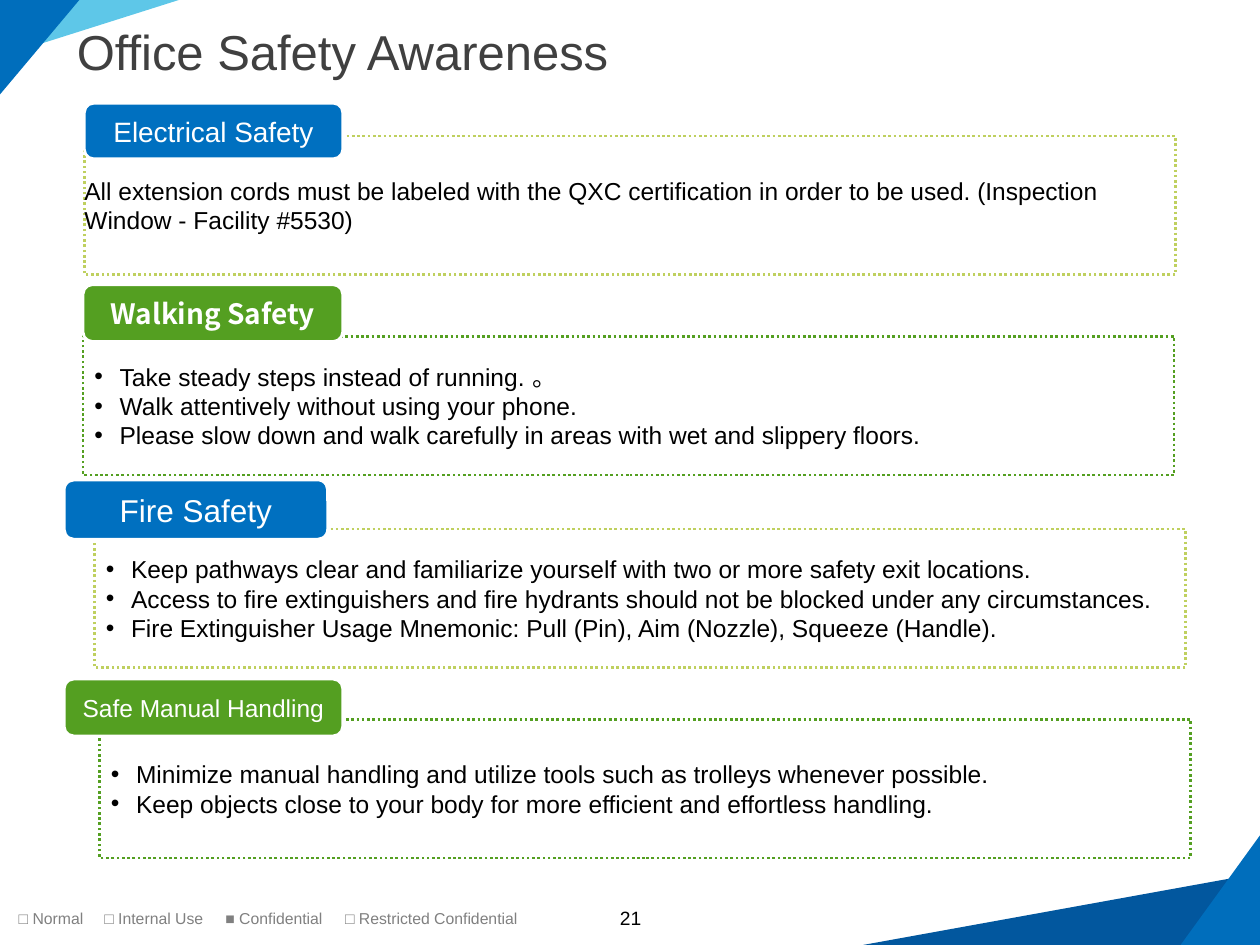
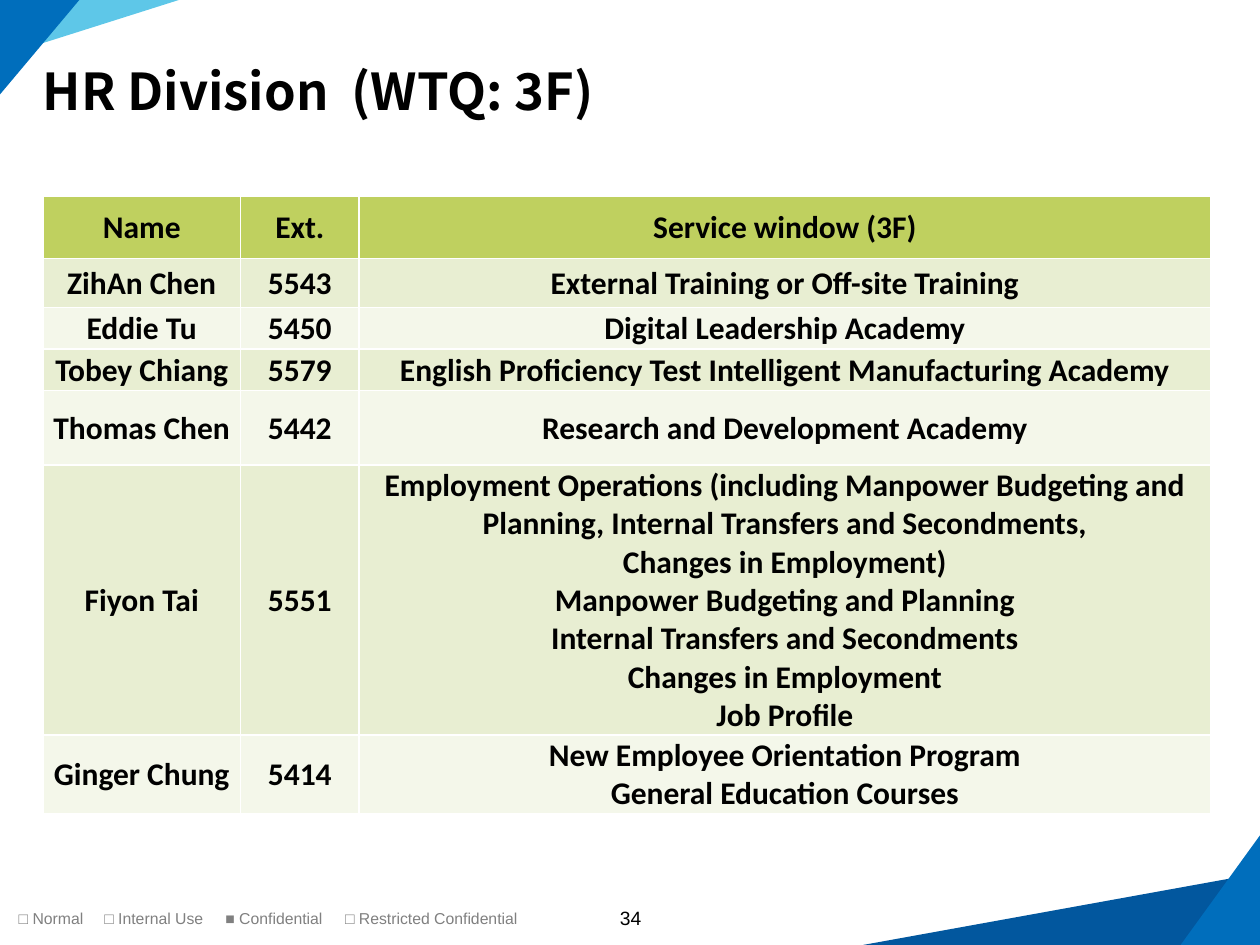
"""Build the office safety and HR contact slides."""
from dataclasses import dataclass
from typing import Any, NamedTuple

from lxml import etree
from pptx import Presentation
from pptx import util as u
from pptx.dml.color import RGBColor
from pptx.enum import dml, shapes, text
from pptx.oxml.ns import qn

COLS, ROWS = 100, 75
WIDE, HIGH = u.Inches(10), u.Inches(7.5)
CELL = WIDE / COLS

HEX = {
    "white": "FFFFFF", "black": "000000", "slate": "404040", "grey": "808080",
    "sky": "5EC7E8", "blue": "006EBC", "navy": "02579E", "azure": "0070C0",
    "green": "549F21", "lime": "BFD05F", "pale": "E8EED2", "mist": "F4F7EA",
}
SANS, HAN, TABLE = "Arial", "Noto Sans CJK SC", "Calibri"
SHAPE, ALIGN, ANCHOR = shapes.MSO_SHAPE, text.PP_ALIGN, text.MSO_ANCHOR


class Box(NamedTuple):
    """A place on the grid, in columns and rows."""
    left: float
    top: float
    width: float
    height: float

    def size(self) -> list[int]:
        """Turn grid cells into slide lengths."""
        return [round(side * CELL) for side in self]


@dataclass
class Corner:
    """A right triangle set in a corner of the slide."""
    width: float
    height: float
    fill: str
    low: bool = False

    def box(self) -> Box:
        """Find the corner's place."""
        left, top = (COLS - self.width, ROWS - self.height) if self.low else (0, 0)
        return Box(left, top, self.width, self.height)


@dataclass
class Topic:
    """A safety topic: a name tag above a dotted panel."""
    name: str
    lines: list[str]
    tag: Box
    left: float
    top: float
    fill: str
    edge: str
    size: int = 16
    font: str = SANS
    bold: bool = False
    bullet: bool = True


CORNERS = [
    Corner(14.2, 4.5, "sky"),
    Corner(6.3, 7.5, "blue"),
    Corner(31.5, 5.7, "navy", low=True),
    Corner(6.3, 8.7, "blue", low=True),
]
LEVELS = "□ Normal\t□ Internal Use\t■ Confidential\t□ Restricted Confidential"
STOPS = (0.68, 1.64, 2.59)

TOPICS = [
    Topic("Electrical Safety",
          ["All extension cords must be labeled with the QXC certification in order "
           "to be used. (Inspection Window - Facility #5530)"],
          Box(6.7, 8.2, 20.5, 4.4), 6.7, 10.8, "azure", "lime", bullet=False),
    Topic("Walking Safety",
          ["Take steady steps instead of running. 。",
           "Walk attentively without using your phone.",
           "Please slow down and walk carefully in areas with wet and slippery floors."],
          Box(6.6, 22.6, 20.6, 4.5), 6.6, 26.7, "green", "green", font=HAN, bold=True),
    Topic("Fire Safety",
          ["Keep pathways clear and familiarize yourself with two or more safety exit "
           "locations.",
           "Access to fire extinguishers and fire hydrants should not be blocked under "
           "any circumstances.",
           "Fire Extinguisher Usage Mnemonic: Pull (Pin), Aim (Nozzle), Squeeze "
           "(Handle)."],
          Box(5.1, 38.1, 20.9, 4.7), 7.5, 42, "azure", "lime", size=18),
    Topic("Safe Manual Handling",
          ["Minimize manual handling and utilize tools such as trolleys whenever "
           "possible.",
           "Keep objects close to your body for more efficient and effortless handling."],
          Box(5.1, 53.9, 22.1, 4.5), 7.9, 57.1, "green", "green", size=14),
]

SPANS = (15.7, 9.4, 67.6)
STAFF = [
    (4.9, "Name", "Ext.", ["Service window (3F)"]),
    (3.9, "ZihAn Chen", "5543", ["External Training or Off-site Training"]),
    (3.3, "Eddie Tu", "5450", ["Digital Leadership Academy"]),
    (3.3, "Tobey Chiang", "5579",
     ["English Proficiency Test Intelligent Manufacturing Academy"]),
    (5.9, "Thomas Chen", "5442", ["Research and Development Academy"]),
    (21.1, "Fiyon Tai", "5551",
     ["Employment Operations (including Manpower Budgeting and Planning, Internal "
      "Transfers and Secondments,",
      "Changes in Employment)", "Manpower Budgeting and Planning",
      "Internal Transfers and Secondments", "Changes in Employment", "Job Profile"]),
    (6, "Ginger Chung", "5414",
     ["New Employee Orientation Program", "General Education Courses"]),
]


def tint(name: str) -> RGBColor:
    """Look up a colour by name."""
    return RGBColor.from_string(HEX[name])


def write(frame: Any, lines: list[str], *, size: float = 14, font: str = SANS,
          ink: str = "black", bold: bool = False, align: Any = ALIGN.LEFT,
          bullet: bool = False, stops: tuple = (), pitch: float = 1.0) -> None:
    """Fill a text frame with formatted paragraphs."""
    for n, line in enumerate(lines):
        para = frame.add_paragraph() if n else frame.paragraphs[0]
        props = para._p.get_or_add_pPr()
        if bullet:
            props.set("marL", str(u.Inches(0.29)))
            props.set("indent", str(u.Inches(-0.2)))
            etree.SubElement(props, qn("a:buFont")).set("typeface", SANS)
            etree.SubElement(props, qn("a:buChar")).set("char", "•")
        if stops:
            tabs = etree.SubElement(props, qn("a:tabLst"))
            for stop in stops:
                tab = etree.SubElement(tabs, qn("a:tab"))
                tab.set("pos", str(u.Inches(stop)))
                tab.set("algn", "l")
        para.alignment, para.line_spacing = align, pitch
        run = para.add_run()
        run.text = line
        face = run.font
        face.name, face.size, face.bold = font, u.Pt(size), bold
        face.color.rgb = tint(ink)


def inset(frame: Any, side: float, edge: float, anchor: Any = ANCHOR.MIDDLE) -> None:
    """Set a frame's margins in inches, its wrap and its anchor."""
    frame.word_wrap, frame.auto_size = True, text.MSO_AUTO_SIZE.NONE
    frame.margin_left = frame.margin_right = u.Inches(side)
    frame.margin_top = frame.margin_bottom = u.Inches(edge)
    frame.vertical_anchor = anchor


def block(host: Any, kind: Any, box: Box, fill: str, edge: str = "") -> Any:
    """Draw a flat preset shape."""
    shape = host.add_shape(kind, *box.size())
    shape.shadow.inherit = False
    shape.fill.solid()
    shape.fill.fore_color.rgb = tint(fill)
    if edge:
        shape.line.color.rgb, shape.line.width = tint(edge), u.Pt(1.5)
    else:
        shape.line.fill.background()
    return shape


def label(host: Any, box: Box, line: str, edge: float, **form: Any) -> None:
    """Add a one-line text box."""
    frame = host.add_textbox(*box.size()).text_frame
    inset(frame, 0.1, edge, ANCHOR.TOP)
    write(frame, [line], **form)


def start(deck: Any, title: str, box: Box, page: int, side: float, **form: Any) -> Any:
    """Add a slide with its corners, footer and title."""
    slide = deck.slides.add_slide(deck.slide_layouts[5])
    host = slide.shapes
    for corner in CORNERS:
        shape = block(host, SHAPE.RIGHT_TRIANGLE, corner.box(), corner.fill)
        shape.element.spPr.find(qn("a:xfrm")).set("flipV", "1")
        shape.rotation = 180 if corner.low else 0
    label(host, Box(45.6, 71.9, 8.9, 2.4), str(page), 0, size=11, align=ALIGN.CENTER)
    label(host, Box(0.5, 71.6, 45.1, 2.5), LEVELS, 0.05, size=9, ink="grey", stops=STOPS)
    head = host.title
    head.left, head.top, head.width, head.height = box.size()
    inset(head.text_frame, side, 0.05)
    write(head.text_frame, [title], pitch=0.9, **form)
    head.element.getparent().append(head.element)
    return slide


def draw(slide: Any, topic: Topic) -> None:
    """Draw a topic as a group of panel and tag."""
    host = slide.shapes.add_group_shape().shapes
    panel = block(host, SHAPE.RECTANGLE, Box(topic.left, topic.top, 86.6, 11),
                  "white", topic.edge)
    panel.line.dash_style = dml.MSO_LINE.ROUND_DOT
    inset(panel.text_frame, 0, 0.05)
    write(panel.text_frame, topic.lines, bullet=topic.bullet)
    tag = block(host, SHAPE.ROUNDED_RECTANGLE, topic.tag, topic.fill, "white")
    inset(tag.text_frame, 0.1, 0)
    write(tag.text_frame, [topic.name], size=topic.size, font=topic.font,
          bold=topic.bold, ink="white", align=ALIGN.CENTER)


def roster(slide: Any) -> None:
    """Add the table of staff and their services."""
    box = Box(3.4, 15.6, sum(SPANS), sum(row[0] for row in STAFF))
    table = slide.shapes.add_table(len(STAFF), len(SPANS), *box.size()).table
    for col, span in zip(table.columns, SPANS):
        col.width = round(span * CELL)
    for n, (high, name, ext, duties) in enumerate(STAFF):
        table.rows[n].height = round(high * CELL)
        fill = ("pale" if n % 2 else "mist") if n else "lime"
        for cell, lines in zip(table.rows[n].cells, ([name], [ext], duties)):
            cell.fill.solid()
            cell.fill.fore_color.rgb = tint(fill)
            cell.vertical_anchor = ANCHOR.MIDDLE
            cell.margin_left = cell.margin_right = cell.margin_top = u.Inches(0.01)
            cell.margin_bottom = 0
            write(cell.text_frame, lines, size=18, font=TABLE, bold=True,
                  align=ALIGN.CENTER)


def main() -> None:
    """Build and save the deck."""
    deck = Presentation()
    deck.slide_width, deck.slide_height = WIDE, HIGH
    safety = start(deck, "Office Safety Awareness", Box(5.1, 2, 89.8, 4.7), 21, 0.1,
                   size=28, ink="slate")
    for topic in TOPICS:
        draw(safety, topic)
    staff = start(deck, "HR Division  (WTQ: 3F)", Box(3.4, 5.1, 94.1, 4.7), 34, 0,
                  size=29, font=HAN, bold=True)
    roster(staff)
    deck.save("out.pptx")


if __name__ == "__main__":
    main()
